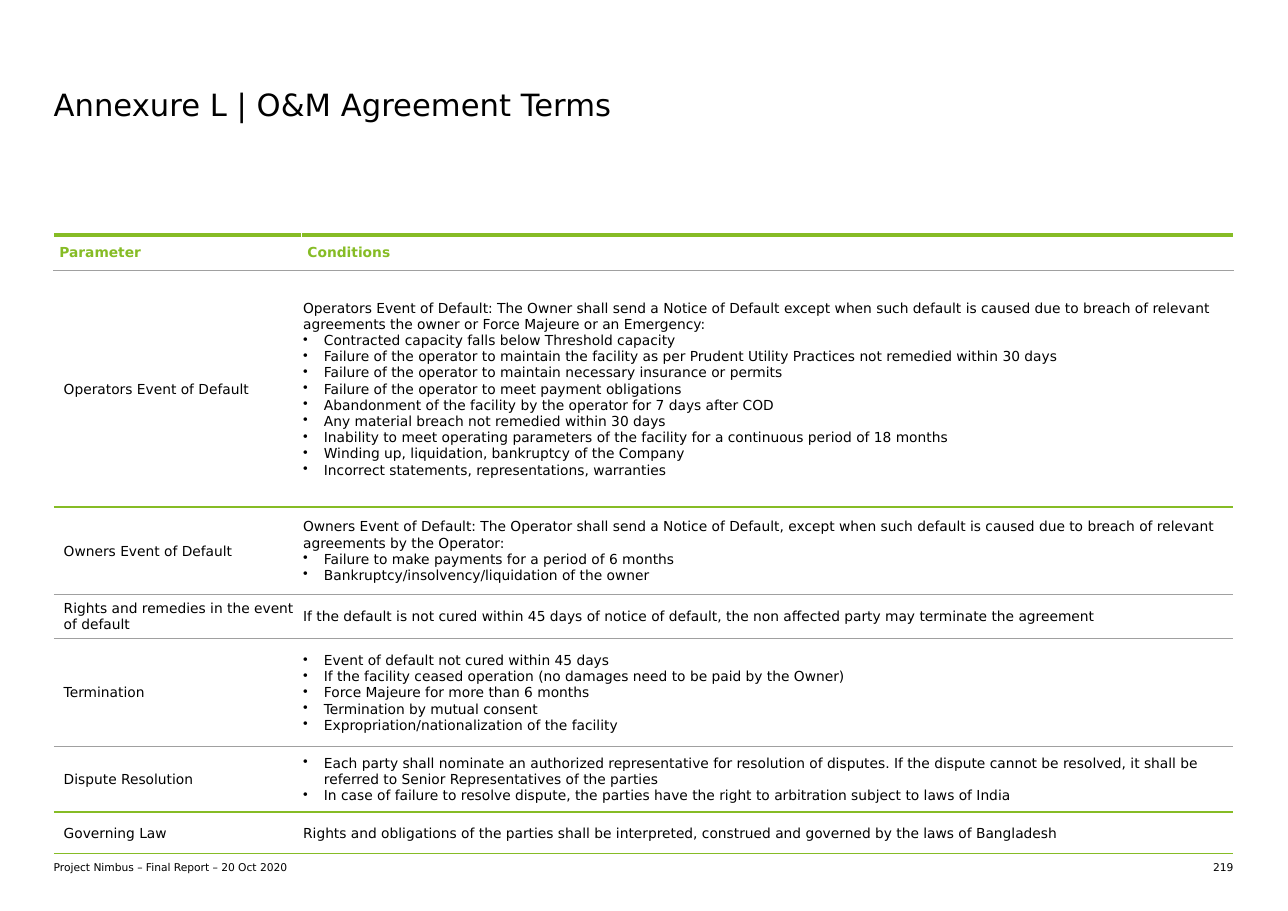
"""Build the annexure slide with the O&M agreement terms table."""
import pptx
import pptx.dml.color
import pptx.enum.text
import pptx.oxml
import pptx.oxml.ns
import pptx.util

Cm, Pt = pptx.util.Cm, pptx.util.Pt
ALIGN, ANCHOR = pptx.enum.text.PP_ALIGN, pptx.enum.text.MSO_ANCHOR
NS = pptx.oxml.ns.nsdecls("a")
INK = {"black": "000000", "green": "86BC25", "gray": "A0A0A0", "white": "FFFFFF"}


def style(para, size, ink="black", bold=False):
    para.font.name = "DejaVu Sans"
    para.font.size = Pt(size)
    para.font.bold = bold
    para.font.color.rgb = pptx.dml.color.RGBColor.from_string(INK[ink])


def edge(cell, side, ink, width):
    fill = f'<a:solidFill><a:srgbClr val="{INK[ink]}"/></a:solidFill>' if ink else "<a:noFill/>"
    line = f'<a:ln{side} {NS} w="{Pt(width)}">{fill}</a:ln{side}>'
    cell._tc.get_or_add_tcPr().append(pptx.oxml.parse_xml(line))


deck = pptx.Presentation()
deck.slide_width, deck.slide_height = Cm(29.7), Cm(21)
slide = deck.slides.add_slide(deck.slide_layouts[6])

labels = [
    ("Annexure L | O&M Agreement Terms", 1.24, 1.8, 27.2, 1.2, 20, ALIGN.LEFT, ANCHOR.MIDDLE),
    ("Project Nimbus – Final Report – 20 Oct 2020", 1.24, 19.84, 12.27, 0.3, 7, ALIGN.LEFT, ANCHOR.BOTTOM),
    ("219", 27.3, 19.84, 1.14, 0.3, 7, ALIGN.RIGHT, ANCHOR.TOP),
]
for text, left, top, width, height, size, align, anchor in labels:
    frame = slide.shapes.add_textbox(Cm(left), Cm(top), Cm(width), Cm(height)).text_frame
    frame.margin_left = frame.margin_right = frame.margin_top = frame.margin_bottom = 0
    frame.word_wrap = True
    frame.vertical_anchor = anchor
    para = frame.paragraphs[0]
    para.text = text
    para.alignment = align
    style(para, size)

terms = [
    (0.82, "Parameter", "Conditions", []),
    (5.46, "Operators Event of Default",
     "Operators Event of Default: The Owner shall send a Notice of Default except when such default "
     "is caused due to breach of relevant agreements the owner or Force Majeure or an Emergency:",
     ["Contracted capacity falls below Threshold capacity",
      "Failure of the operator to maintain the facility as per Prudent Utility Practices "
      "not remedied within 30 days",
      "Failure of the operator to maintain necessary insurance or permits",
      "Failure of the operator to meet payment obligations",
      "Abandonment of the facility by the operator for 7 days after COD",
      "Any material breach not remedied within 30 days",
      "Inability to meet operating parameters of the facility for a continuous period of 18 months",
      "Winding up, liquidation, bankruptcy of the Company",
      "Incorrect statements, representations, warranties"]),
    (2.01, "Owners Event of Default",
     "Owners Event of Default: The Operator shall send a Notice of Default, except when such default "
     "is caused due to breach of relevant agreements by the Operator:",
     ["Failure to make payments for a period of 6 months",
      "Bankruptcy/insolvency/liquidation of the owner"]),
    (1.02, "Rights and remedies in the event of default",
     "If the default is not cured within 45 days of notice of default, "
     "the non affected party may terminate the agreement", []),
    (2.49, "Termination", "",
     ["Event of default not cured within 45 days",
      "If the facility ceased operation (no damages need to be paid by the Owner)",
      "Force Majeure for more than 6 months",
      "Termination by mutual consent",
      "Expropriation/nationalization of the facility"]),
    (1.5, "Dispute Resolution", "",
     ["Each party shall nominate an authorized representative for resolution of disputes. If the "
      "dispute cannot be resolved, it shall be referred to Senior Representatives of the parties",
      "In case of failure to resolve dispute, the parties have the right to arbitration "
      "subject to laws of India"]),
    (0.97, "Governing Law",
     "Rights and obligations of the parties shall be interpreted, construed and governed "
     "by the laws of Bangladesh", []),
]
rules = [("green", 3), ("gray", 0.75), ("green", 1), ("gray", 0.75),
         ("gray", 0.75), ("gray", 0.75), ("green", 1.5), ("green", 1)]

total = sum(term[0] for term in terms)
table = slide.shapes.add_table(len(terms), 2, Cm(1.24), Cm(5.41), Cm(27.2), Cm(total)).table
table.first_row = table.horz_banding = False
table.columns[0].width, table.columns[1].width = Cm(5.72), Cm(21.48)

for row, (height, name, intro, points) in enumerate(terms):
    table.rows[row].height = Cm(height)
    head = row == 0
    lead = [(intro, False)] if intro else []
    sides = [[(name, False)], lead + [(point, True) for point in points]]
    for col, lines in enumerate(sides):
        cell = table.cell(row, col)
        cell.vertical_anchor = ANCHOR.MIDDLE
        cell.margin_left = cell.margin_right = cell.margin_top = Cm(0.13 if head else 0.03)
        cell.margin_bottom = Cm(0.13 if head else 0)
        for side in "LR":
            edge(cell, side, "white" if head else None, 1)
        edge(cell, "T", *rules[row])
        edge(cell, "B", *rules[row + 1])
        cell.fill.background()
        for spot, (text, dot) in enumerate(lines):
            para = cell.text_frame.add_paragraph() if spot else cell.text_frame.paragraphs[0]
            para.text = text
            props = para._p.get_or_add_pPr()
            if dot:
                props.set("marL", str(Cm(0.48)))
                props.set("indent", str(-Cm(0.48)))
                props.append(pptx.oxml.parse_xml(f'<a:buChar {NS} char="•"/>'))
            elif col == 0 and not head:
                props.set("marL", str(Cm(0.2)))
            if head:
                para.space_after = Pt(3)
            style(para, 9, "green" if head else "black", head)

deck.save("out.pptx")
